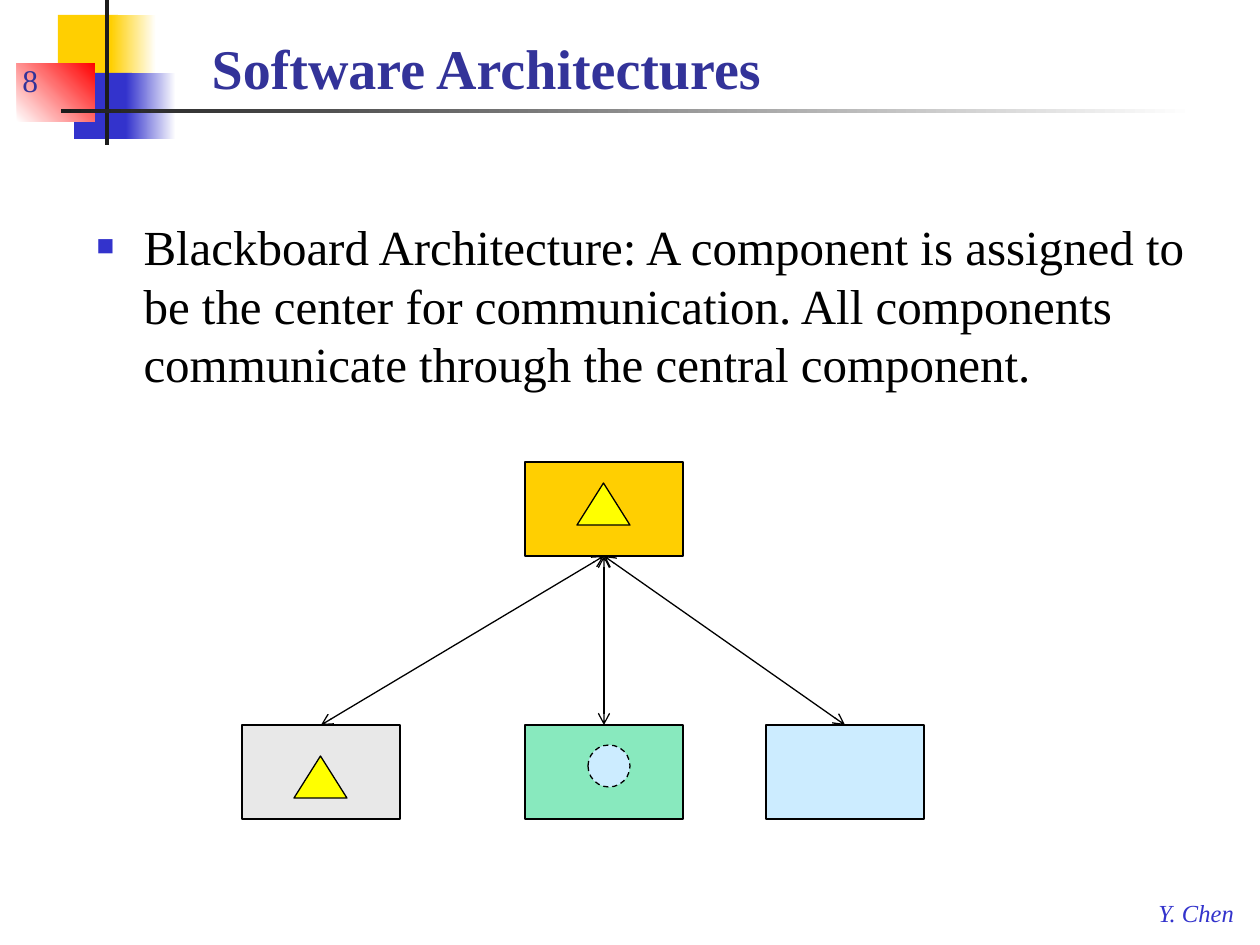
from lxml import etree
from pptx import Presentation
from pptx.dml.color import RGBColor
from pptx.enum.dml import MSO_LINE
from pptx.enum.shapes import MSO_CONNECTOR, MSO_SHAPE
from pptx.enum.text import MSO_ANCHOR, MSO_AUTO_SIZE, PP_ALIGN
from pptx.oxml.ns import qn
from pptx.util import Emu, Pt

RECT = MSO_SHAPE.RECTANGLE
OVAL = MSO_SHAPE.OVAL
TRI = MSO_SHAPE.ISOSCELES_TRIANGLE
LINE = MSO_CONNECTOR.STRAIGHT
DASH = MSO_LINE.DASH
LEFT = PP_ALIGN.LEFT
TOP = MSO_ANCHOR.TOP
LOW = MSO_ANCHOR.BOTTOM
FIXED = MSO_AUTO_SIZE.NONE

FONT = "Times New Roman"
BLACK, WHITE, DARK = "000000", "FFFFFF", "1C1C1C"
BLUE, NAVY, GOLD, SKY = "3333CC", "333399", "FFCF01", "CCECFF"


def px(n):
    return Emu(round(n * 914400 / 126))


def color(text):
    return RGBColor.from_string(text)


class Page:
    def __init__(self, deck):
        self.slide = deck.slides.add_slide(deck.slide_layouts[1])
        self.shapes = self.slide.shapes
        self.slide.background.fill.solid()
        self.slide.background.fill.fore_color.rgb = color(WHITE)

    def shape(self, kind, box, fill, line=None, dash=None):
        item = self.shapes.add_shape(kind, *map(px, box))
        item.shadow.inherit = False
        item.fill.solid()
        item.fill.fore_color.rgb = color(fill)
        if line:
            item.line.color.rgb = color(line)
            item.line.width = Pt(0.75)
            item.line.dash_style = dash
        else:
            item.line.fill.background()
        return item

    def fade(self, box, start, end, angle=0):
        fill = self.shape(RECT, box, start).fill
        fill.gradient()
        fill.gradient_angle = angle
        for stop, tint, place in zip(fill.gradient_stops, (start, end), (0, 1)):
            stop.color.rgb = color(tint)
            stop.position = place

    def arrow(self, start, end):
        item = self.shapes.add_connector(LINE, *map(px, start + end))
        item.line.color.rgb = color(BLACK)
        item.line.width = Pt(0.75)
        props = item._element.spPr
        for tag in ("a:headEnd", "a:tailEnd"):
            etree.SubElement(props.find(qn("a:ln")), qn(tag), type="arrow")
        etree.SubElement(props, qn("a:effectLst"))

    def put(self, item, box, text, size, tint, anchor=TOP, wrap=True,
            bold=False, italic=False):
        item.left, item.top, item.width, item.height = map(px, box)
        frame = item.text_frame
        frame.auto_size = FIXED
        frame.word_wrap = wrap
        frame.vertical_anchor = anchor
        para = frame.paragraphs[0]
        para.alignment = LEFT
        run = para.add_run()
        run.text = text
        font = run.font
        font.name, font.size = FONT, Pt(size)
        font.bold, font.italic = bold, italic
        font.color.rgb = color(tint)
        return para

    def label(self, box, text, size, tint, **style):
        item = self.shapes.add_textbox(*map(px, box))
        self.put(item, box, text, size, tint, **style)

    def bullet(self, para, tint, scale, mark, gap):
        props = para._p.get_or_add_pPr()
        props.set("marL", str(px(gap)))
        props.set("indent", str(-px(gap)))
        space = etree.SubElement(props, qn("a:spcBef"))
        etree.SubElement(space, qn("a:spcPct"), val="20000")
        shade = etree.SubElement(props, qn("a:buClr"))
        etree.SubElement(shade, qn("a:srgbClr"), val=tint)
        etree.SubElement(props, qn("a:buSzPct"), val=str(scale * 1000))
        etree.SubElement(props, qn("a:buFont"), typeface=FONT)
        etree.SubElement(props, qn("a:buChar"), char=mark)


deck = Presentation()
deck.slide_width, deck.slide_height = px(1260), px(945)
page = Page(deck)

page.shape(RECT, (58, 15, 60, 66), GOLD)
page.fade((111, 15, 45, 66), GOLD, WHITE)
page.shape(RECT, (74, 73, 58, 66), BLUE)
page.fade((126, 73, 50, 66), BLUE, WHITE)
page.fade((17, 63, 78, 59), WHITE, "FF0000", 45)
page.shape(RECT, (105, 0, 4, 145), DARK)
page.fade((61, 109, 1134, 4), DARK, WHITE)
page.label((1146, 892, 103, 42), "Y. Chen", 14, BLUE, wrap=False, italic=True)

page.put(page.shapes.title, (199, 21, 1050, 86), "Software Architectures",
         32, NAVY, anchor=LOW, bold=True)
body = page.put(
    page.slide.placeholders[1], (84, 210, 1139, 210),
    "Blackboard Architecture: A component is assigned to be the center for "
    "communication. All components communicate through the central component.",
    28, BLACK)
page.bullet(body, BLUE, 60, "\u25a0", 47)
page.label((10, 42, 262, 63), "8", 18, NAVY, anchor=LOW)

WIDE, HIGH, HUB, ROW = 158, 94, 462, 725
nodes = ((525, HUB, GOLD), (242, ROW, "E8E8E8"),
         (525, ROW, "88E9BE"), (766, ROW, SKY))
for left, top, fill in nodes:
    page.shape(RECT, (left, top, WIDE, HIGH), fill, BLACK)
mid = WIDE // 2
for left, top, fill in nodes[1:]:
    page.arrow((nodes[0][0] + mid, HUB + HIGH), (left + mid, top))

page.shape(OVAL, (588, 745, 42, 42), SKY, BLACK, DASH)
for left, top in ((294, 756), (577, 483)):
    page.shape(TRI, (left, top, 53, 42), "FFFF00", BLACK)

deck.save("out.pptx")
